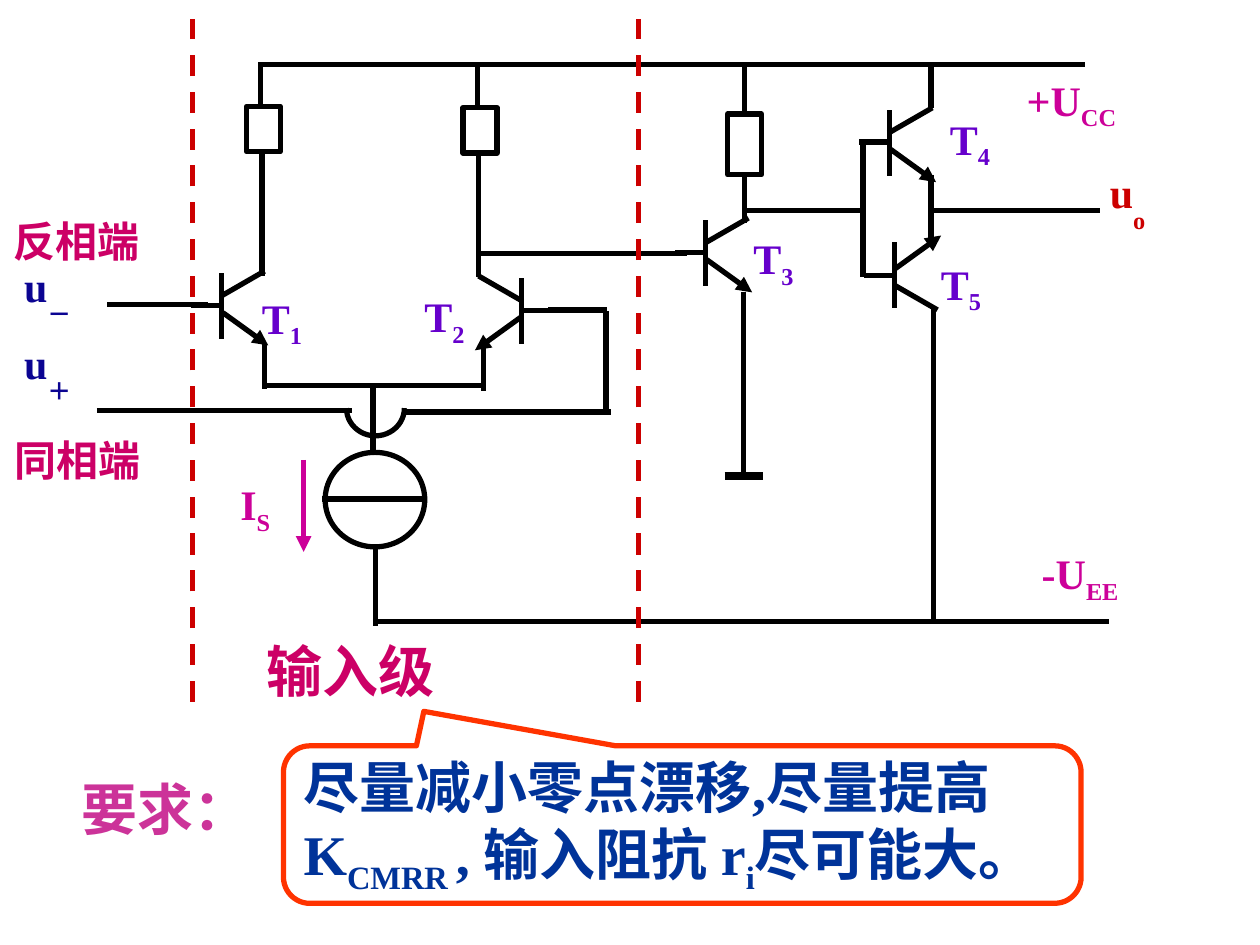
"""Builds a slide with the input stage of an operational amplifier circuit."""
import pptx
import pptx.util
import pptx.dml.color
import pptx.enum.dml
import pptx.enum.shapes
import pptx.enum.text
import pptx.oxml.ns
import lxml.etree

Pt = pptx.util.Pt
SHAPES = pptx.enum.shapes.MSO_SHAPE
FONT = "Times New Roman"
COLORS = {
    "wire": "000000", "paper": "FFFFFF", "supply": "CC0099", "input": "0B0492",
    "output": "CC0000", "terminal": "CC0066", "transistor": "6600CC",
    "divider": "CC0000", "heading": "CC3399", "callout": "FF3300", "demand": "003399",
}

TITLE = ("输入级", (120.5, 360, 160, 42.5))
HEADING = ("要求：", (39.6, 439.2, 113, 46.1))
DEMANDS = [
    [("尽量减小零点漂移,尽量提高", 0)],
    [("K", 0), ("CMRR ", -25), (", 输入阻抗 r", 0), ("i", -25), ("尽可能大。", 0)],
]
CALLOUT = ((162, 426.2, 455.8, 90), (-0.324, -0.719, 0.167))

LABELS = [
    ("-U", "EE", -25, (588.2, 309.6, 82.8, 40.3), "supply"),
    ("+U", "CC", -25, (579.6, 38.9, 92.2, 40.3), "supply"),
    ("I", "S", -25, (130.3, 270, 47.5, 40.3), "supply"),
    ("u", "＋", -50, (6.7, 189.4, 71, 95.8), "input"),
    ("u", "－", -50, (6.7, 145.4, 92.6, 95.8), "input"),
    ("u", "o", -50, (627.1, 91.4, 48.2, 95.8), "output"),
    ("T", "1", -25, (142.6, 163.4, 53.3, 39.6), "transistor"),
    ("T", "2", -25, (235.4, 162.7, 49, 39.6), "transistor"),
    ("T", "3", -25, (423.4, 129.6, 47.5, 36), "transistor"),
    ("T", "4", -25, (535.7, 61.2, 47.5, 36), "transistor"),
    ("T", "5", -25, (530.6, 144, 47.5, 36), "transistor"),
]
TERMINALS = [("反相端", (0.7, 119.5, 86.4, 32.4)), ("同相端", (1.4, 244.8, 86.4, 32.4))]

TRANSISTORS = [
    (126.7, 175, 1, 1), (298, 177.8, -1, 1), (403.2, 144.7, 1, 1),
    (508.3, 81.7, 1, 1), (511.2, 157, 1, -1),
]
TRANSISTOR_LINES = [
    (-17.3, -0.5, 0.7, -0.5, False), (0, -18.8, 0, 18.8, False),
    (-0.7, -5.6, 24.5, -20.1, False), (0.7, 3.7, 26.6, 22.4, True),
]
HORIZONTAL_WIRES = [
    (36.7, 147.6, 619.9), (355, 213.1, 633.6), (220.3, 149.8, 275.8),
    (177.1, 313.2, 347), (174.2, 61.2, 118.8), (234.7, 55.4, 200.9),
    (235.4, 229.7, 349.2), (144.7, 274.3, 392.4), (120.2, 424.8, 494.6),
    (120.2, 532.8, 628.6),
]
VERTICAL_WIRES = [
    (149, 36, 61.2), (149.8, 86.4, 157.7), (151.2, 196.6, 222.5),
    (213.1, 220.3, 273.6), (214.6, 310.3, 357.8), (346.3, 177.8, 236.9),
    (276.5, 198, 223.2), (272.9, 36.7, 61.9), (273.6, 86.4, 158.4),
    (424.8, 167, 272.2), (425.5, 37.4, 64.8), (425.5, 100, 127.4),
    (493.2, 80.6, 158.4), (532, 36.7, 61.9), (532, 100, 141),
    (533.5, 176.4, 355.7),
]
RESISTORS = [(140.8, 60.8, 19.4, 25.9), (264.6, 61.6, 19.4, 25.9), (415.8, 65.2, 19.4, 34.6)]
GROUND = (414, 272.2, 436.3, 272.2)
SOURCE_CIRCLE = (185.8, 258.5, 56.9, 54)
SOURCE_BAR = (184.3, 285.1, 244.1, 285.1)
SOURCE_ARROW = (173.5, 262.8, 173.5, 315.4)
CROSSING_ARC = (198, 217.4, 33.1, 31.7)
DIVIDERS = [110.2, 365]


def color(name):
    return pptx.dml.color.RGBColor.from_string(COLORS[name])


def add_line(slide, ends, name="wire", width=3, arrow=False, dashed=False):
    connector = slide.shapes.add_connector(
        pptx.enum.shapes.MSO_CONNECTOR.STRAIGHT, *map(Pt, ends))
    connector.line.color.rgb = color(name)
    connector.line.width = Pt(width)
    if dashed:
        connector.line.dash_style = pptx.enum.dml.MSO_LINE.DASH
    if arrow:
        line = connector.line._get_or_add_ln()
        lxml.etree.SubElement(line, pptx.oxml.ns.qn("a:tailEnd"), type="triangle")
    lxml.etree.SubElement(connector._element.spPr, pptx.oxml.ns.qn("a:effectLst"))


def add_outline(slide, kind, box, name="wire", fill=None):
    shape = slide.shapes.add_shape(kind, *map(Pt, box))
    shape.shadow.inherit = False
    shape.line.color.rgb = color(name)
    shape.line.width = Pt(3)
    if fill:
        shape.fill.solid()
        shape.fill.fore_color.rgb = color(fill)
    else:
        shape.fill.background()
    return shape


def write(shape, lines, name, size, centered=False, wrap=True):
    frame = shape.text_frame
    frame.word_wrap = wrap
    frame.margin_left = frame.margin_right = Pt(7.2)
    frame.margin_top = Pt(3.6)
    frame.margin_bottom = Pt(0 if centered else 3.6)
    anchors = pptx.enum.text.MSO_ANCHOR
    frame.vertical_anchor = anchors.TOP if wrap else anchors.MIDDLE
    alignments = pptx.enum.text.PP_ALIGN
    for index, parts in enumerate(lines):
        paragraph = frame.add_paragraph() if index else frame.paragraphs[0]
        paragraph.alignment = alignments.CENTER if centered else alignments.LEFT
        for text, baseline in parts:
            run = paragraph.add_run()
            run.text = text
            if baseline:
                run._r.get_or_add_rPr().set("baseline", str(baseline * 1000))
        paragraph.font.name = FONT
        paragraph.font.size = Pt(size)
        paragraph.font.bold = True
        paragraph.font.color.rgb = color(name)


def add_text(slide, box, parts, name, size=24, centered=False):
    shape = slide.shapes.add_textbox(*map(Pt, box))
    write(shape, [parts], name, size, centered, wrap=not centered)
    shape.text_frame.auto_size = pptx.enum.text.MSO_AUTO_SIZE.SHAPE_TO_FIT_TEXT


def add_circuit(slide):
    for y, left, right in HORIZONTAL_WIRES:
        add_line(slide, (left, y, right, y))
    for x, top, bottom in VERTICAL_WIRES:
        add_line(slide, (x, top, x, bottom))
    for x, y, across, down in TRANSISTORS:
        for x1, y1, x2, y2, arrow in TRANSISTOR_LINES:
            ends = (x + across * x1, y + down * y1, x + across * x2, y + down * y2)
            add_line(slide, ends, arrow=arrow)
    for box in RESISTORS:
        add_outline(slide, SHAPES.RECTANGLE, box)
    add_line(slide, GROUND, width=4.5)
    add_outline(slide, SHAPES.OVAL, SOURCE_CIRCLE, fill="paper")
    add_line(slide, SOURCE_BAR)
    add_line(slide, SOURCE_ARROW, "supply", arrow=True)
    arc = add_outline(slide, SHAPES.ARC, CROSSING_ARC)
    arc.adjustments[0], arc.adjustments[1] = 0, 108


def main():
    presentation = pptx.Presentation()
    presentation.slide_width, presentation.slide_height = Pt(720), Pt(540)
    slide = presentation.slides.add_slide(presentation.slide_layouts[5])

    title = slide.shapes.title
    text, box = TITLE
    title.left, title.top, title.width, title.height = map(Pt, box)
    write(title, [[(text, 0)]], "terminal", 32, centered=True, wrap=False)
    title.text_frame.word_wrap = True
    title.text_frame.auto_size = pptx.enum.text.MSO_AUTO_SIZE.NONE

    add_circuit(slide)
    for symbol, subscript, baseline, box, name in LABELS:
        add_text(slide, box, [(symbol, 0), (subscript, baseline)], name)
    for text, box in TERMINALS:
        add_text(slide, box, [(text, 0)], "terminal", centered=True)
    for x in DIVIDERS:
        add_line(slide, (x, 401, x, 10.8), "divider", dashed=True)

    text, box = HEADING
    add_text(slide, box, [(text, 0)], "heading", size=32)
    box, adjustments = CALLOUT
    callout = add_outline(slide, SHAPES.ROUNDED_RECTANGULAR_CALLOUT, box, "callout")
    for index, value in enumerate(adjustments):
        callout.adjustments[index] = value
    write(callout, DEMANDS, "demand", 32, wrap=False)
    presentation.save("out.pptx")


if __name__ == "__main__":
    main()
